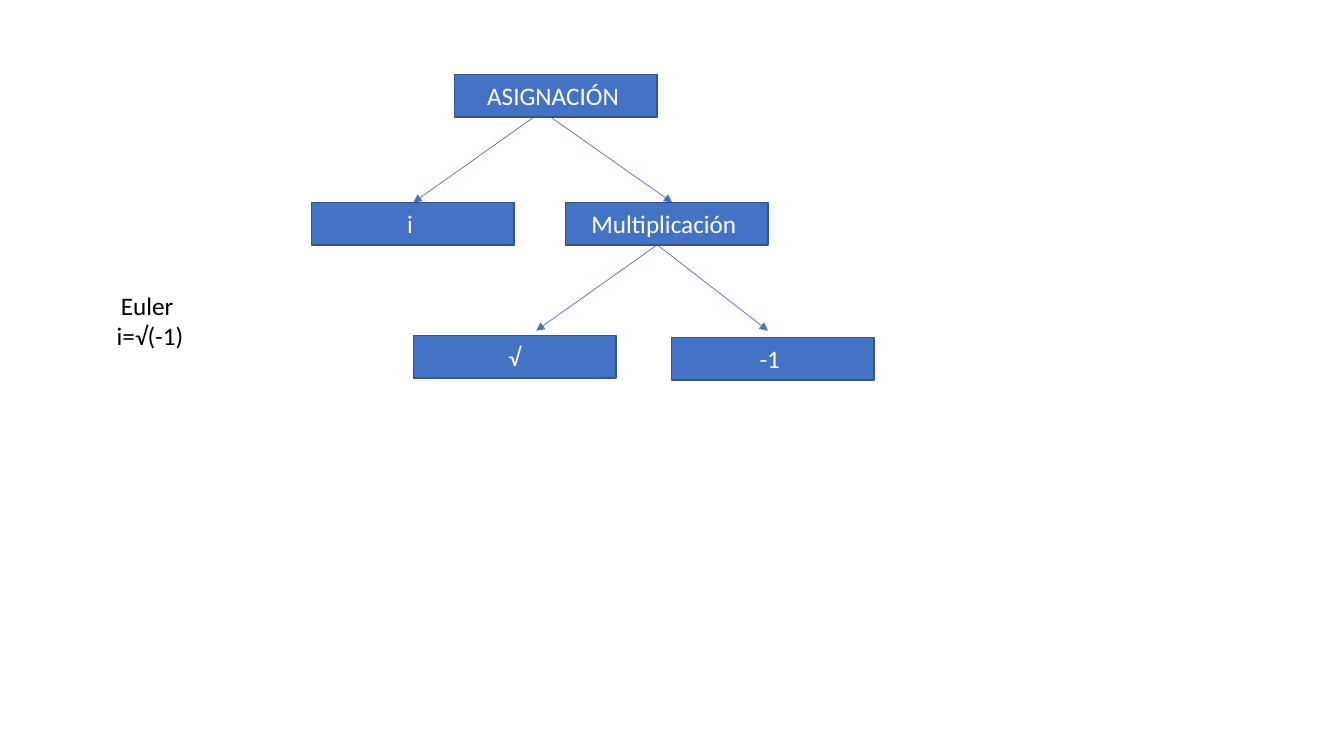
from lxml import etree
from pptx import Presentation
from pptx.dml.color import RGBColor
from pptx.enum import shapes, text
from pptx.oxml import ns
from pptx.util import Pt

BLUE = RGBColor(0x44, 0x72, 0xC4)
DARK_BLUE = RGBColor(0x32, 0x54, 0x91)
WHITE = RGBColor(0xFF, 0xFF, 0xFF)
BLACK = RGBColor(0x00, 0x00, 0x00)

NODE_WIDTH, NODE_HEIGHT = 144.7, 30.2


class TreeSlide:
    """Holds the style and the current slide."""

    font_name = "Calibri"
    font_size = 18

    def __init__(self, page):
        self.page = page

    def set_text(self, box, words, color):
        frame = box.text_frame
        frame.word_wrap = True
        frame.vertical_anchor = text.MSO_ANCHOR.MIDDLE
        frame.text = words
        for para in frame.paragraphs:
            para.alignment = text.PP_ALIGN.CENTER
            para.font.name = self.font_name
            para.font.size = Pt(self.font_size)
            para.font.color.rgb = color

    def label(self, words, left, top, width, height):
        box = self.page.shapes.add_textbox(Pt(left), Pt(top), Pt(width), Pt(height))
        self.set_text(box, words, BLACK)

    def node(self, words, left, top):
        box = self.page.shapes.add_shape(
            shapes.MSO_SHAPE.RECTANGLE, Pt(left), Pt(top), Pt(NODE_WIDTH), Pt(NODE_HEIGHT))
        box.shadow.inherit = False
        box.fill.solid()
        box.fill.fore_color.rgb = BLUE
        box.line.color.rgb = DARK_BLUE
        box.line.width = Pt(1)
        self.set_text(box, words, WHITE)

    def arrow(self, start, end):
        arrow = self.page.shapes.add_connector(
            shapes.MSO_CONNECTOR.STRAIGHT, *(Pt(value) for value in (*start, *end)))
        arrow.line.color.rgb = BLUE
        arrow.line.width = Pt(0.5)
        properties = arrow._element.spPr
        outline = properties.find(ns.qn("a:ln"))
        etree.SubElement(outline, ns.qn("a:tailEnd"), type="triangle")
        etree.SubElement(properties, ns.qn("a:effectLst"))


deck = Presentation()
deck.slide_width, deck.slide_height = Pt(960), Pt(540)
BLANK_LAYOUT = 6
tree = TreeSlide(deck.slides.add_slide(deck.slide_layouts[BLANK_LAYOUT]))

# Formula beside the tree
tree.label("Euler \vi=√(-1)", 28, 204.6, 158.4, 48)

# Tree levels
root_top, child_top = 53.3, 144.7
root_bottom, child_bottom = root_top + NODE_HEIGHT, child_top + NODE_HEIGHT
leaf_arrow_end = 236.2

# Arrows from each parent to its operands
for start, end in [
    ((381.6, root_bottom), (295.2, child_top)),
    ((393.1, root_bottom), (480.2, child_top)),
    ((469.4, child_bottom), (383, leaf_arrow_end)),
    ((469.4, child_bottom), (548.6, leaf_arrow_end)),
]:
    tree.arrow(start, end)

# Nodes
for words, left, top in [
    ("ASIGNACIÓN ", 324.7, root_top),
    ("i ", 222.5, child_top),
    ("Multiplicación ", 403.9, child_top),
    ("√", 295.2, 239.8),
    ("-1 ", 479.5, 241.2),
]:
    tree.node(words, left, top)

deck.save("out.pptx")
